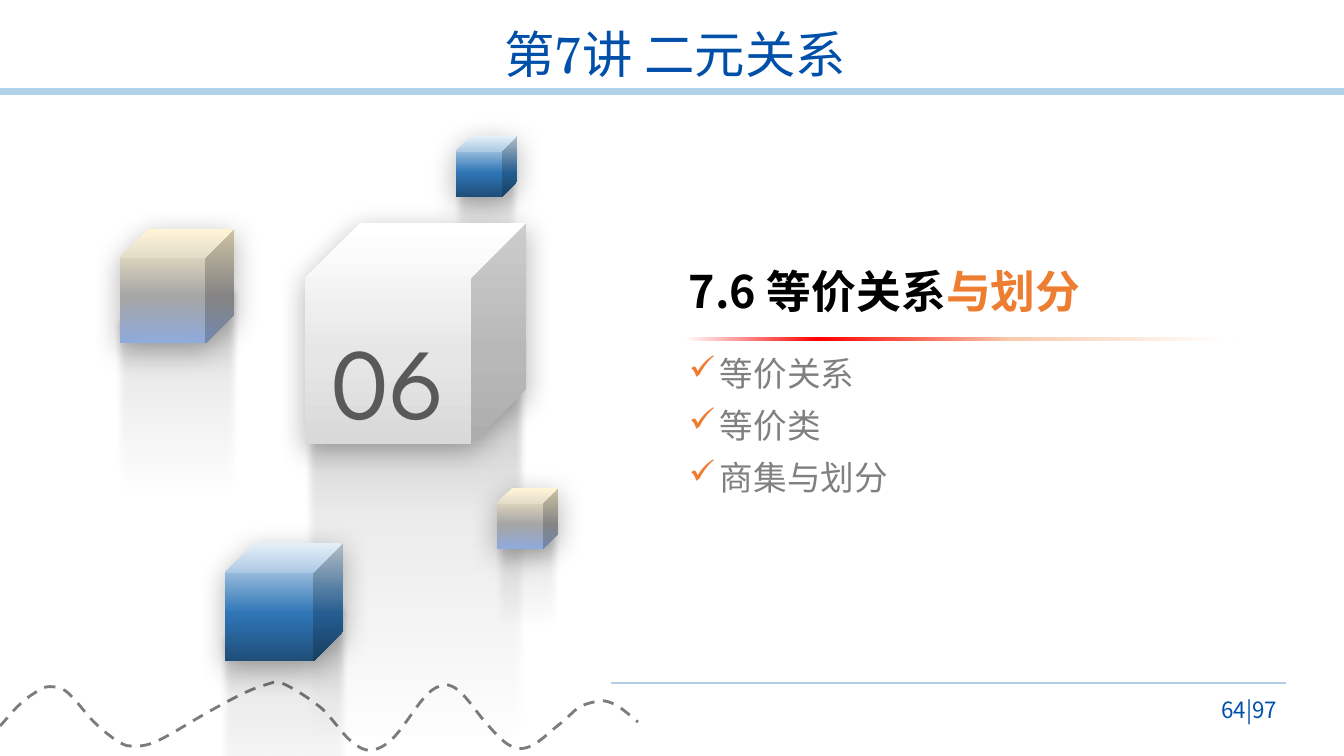
"""Build the section slide on equivalence relations and partitions."""
from lxml import etree
from pptx import Presentation, util as u
from pptx.dml.color import RGBColor
from pptx.enum import dml, shapes, text
from pptx.oxml.ns import qn

PX = 914400 / 100.8
COLORS = {"title": "0050AA", "rule": "B0D3EB", "footer_rule": "B4CDE6", "wave": "7C7C7C",
          "number": "595959", "heading": "000000", "accent": "ED7D31", "item": "808080"}
SANS, SERIF, GEOMETRIC, SYMBOL = "Noto Sans CJK SC", "TeX Gyre Schola", "League Spartan", "OpenSymbol"

TITLE = "第7讲 二元关系"
HEADING = [("7.6 等价关系", "heading"), ("与划分", "accent")]
ITEMS = [("等价关系", 565), ("等价类", 375), ("商集与划分", 375)]
PAGE = "64|97"

BLUE = [(1, "DEEBF7", 100), (60, "2E75B6", 100), (100, "1F4E79", 100)]
CREAM = [(1, "FFF2CC", 100), (60, "A5A5A5", 100), (100, "8FAADC", 100)]
WHITE = [(0, "FFFFFF", 100), (60, "E7E6E6", 100), (100, "D9D9D9", 100)]
COLUMN = [(30, "000000", 0), (50, "000000", 4), (70, "000000", 8), (100, "262626", 30)]
RED_GLOW = [(1, "FFFFFF", 100), (25, "FF0000", 100), (60, "F8CBAD", 100), (99, "FFFFFF", 100)]
CUBES = [(456, 136, 61, 1.11, BLUE, ""), (305, 223, 221, 1.01, WHITE, "06"),
         (225, 543, 118, 1.11, BLUE, ""), (497, 488, 61, 1.11, CREAM, ""),
         (120, 229, 114, 1.11, CREAM, "")]
WAVE = [(0, 726), (17, 707), (33, 694), (46, 687), (62, 689), (74, 699), (93, 721), (109, 735),
        (119, 742), (131, 746), (155, 742), (203, 715), (240, 695), (265, 685), (284, 684),
        (320, 707), (351, 741), (372, 750), (396, 735), (423, 699), (440, 686), (458, 690),
        (486, 723), (509, 745), (531, 746), (561, 723), (578, 708), (599, 701), (616, 705),
        (638, 722)]


def px(*lengths):
    return [u.Emu(round(length * PX)) for length in lengths]


def child(parent, tag, **attributes):
    return etree.SubElement(parent, qn(tag), {key: str(value) for key, value in attributes.items()})


def add_color(parent, color, alpha=100):
    element = child(parent, "a:srgbClr", val=color)
    if alpha < 100:
        child(element, "a:alpha", val=alpha * 1000)


def style_runs(paragraph, size, name, colors, bold=False):
    for run, color in zip(paragraph.runs, colors):
        run.font.size, run.font.name, run.font.bold = u.Pt(size), name, bold
        run.font.color.rgb = RGBColor.from_string(COLORS[color])
        child(run.font._element, "a:ea", typeface=SANS)


def add_gradient_shape(parent, kind, box, stops, angle):
    shape = parent.add_shape(kind, *px(*box))
    shape.fill.gradient()
    shape.fill.gradient_angle = angle
    stop_list = shape._element.spPr.find(f".//{qn('a:gsLst')}")
    for stop in list(stop_list):
        stop_list.remove(stop)
    for position, color, alpha in stops:
        add_color(child(stop_list, "a:gs", pos=position * 1000), color, alpha)
    shape.line.fill.background()
    shape.shadow.inherit = False
    return shape


def add_cube(slide, left, top, size, spread, stops, label):
    group = slide.shapes.add_group_shape().shapes
    width = size * spread
    column_box = (left + (size - width) / 2, top + size / 2, width, size * 2.72)
    column = add_gradient_shape(group, shapes.MSO_SHAPE.CUBE, column_box, COLUMN, 270)
    column.rotation = 180
    child(column._element.spPr.find(qn("a:effectLst")), "a:softEdge", rad=u.Pt(5))
    cube = add_gradient_shape(group, shapes.MSO_SHAPE.CUBE, (left, top, size, size), stops, 270)
    shadow = child(cube._element.spPr.find(qn("a:effectLst")), "a:outerShdw", blurRad=u.Pt(20),
                   dist=u.Pt(5), dir=5400000, algn="t", rotWithShape=0)
    add_color(shadow, "000000", 30)
    if label:
        cube.text_frame.text = label
        cube.text_frame.vertical_anchor = text.MSO_ANCHOR.MIDDLE
        paragraph = cube.text_frame.paragraphs[0]
        paragraph.alignment, paragraph.line_spacing = text.PP_ALIGN.CENTER, 1.3
        style_runs(paragraph, 72, GEOMETRIC, ["number"])


def add_rule(slide, left, right, y, color, width):
    rule = slide.shapes.add_connector(shapes.MSO_CONNECTOR.STRAIGHT, *px(left, y, right, y))
    rule.line.color.rgb = RGBColor.from_string(COLORS[color])
    rule.line.width = u.Pt(width)
    child(rule._element.spPr, "a:effectLst")


def curve_segments(outline):
    """Turn the straight segments of an outline into smooth cubic curves."""
    points = [(int(point.get("x")), int(point.get("y"))) for point in outline.iter(qn("a:pt"))]
    padded = [points[0], *points, points[-1]]
    for segment in outline.findall(qn("a:lnTo")):
        outline.remove(segment)
    for before, start, end, after in zip(padded, padded[1:], padded[2:], padded[3:]):
        first = [s + (e - b) / 6 for b, s, e in zip(before, start, end)]
        second = [e - (a - s) / 6 for s, e, a in zip(start, end, after)]
        curve = child(outline, "a:cubicBezTo")
        for x, y in (first, second, end):
            child(curve, "a:pt", x=round(x), y=round(y))


def add_wave(slide):
    builder = slide.shapes.build_freeform(*WAVE[0], scale=PX)
    builder.add_line_segments(WAVE[1:], close=False)
    wave = builder.convert_to_shape()
    curve_segments(wave._element.spPr.find(f".//{qn('a:path')}"))
    wave.fill.background()
    wave.line.color.rgb = RGBColor.from_string(COLORS["wave"])
    wave.line.width = u.Pt(2)
    wave.line.dash_style = dml.MSO_LINE.DASH
    wave.shadow.inherit = False


def add_text(slide, box, anchor):
    frame = slide.shapes.add_textbox(*px(*box)).text_frame
    frame.word_wrap = True
    frame.vertical_anchor = anchor
    return frame.paragraphs[0]


def add_item(slide, index, label, width):
    paragraph = add_text(slide, (679, 348 + 52 * index, width, 50), text.MSO_ANCHOR.TOP)
    paragraph.text = label
    properties = paragraph._p.get_or_add_pPr()
    indent = px(31)[0]
    properties.set("marL", str(indent))
    properties.set("indent", str(-indent))
    add_color(child(properties, "a:buClr"), COLORS["accent"])
    child(properties, "a:buFont", typeface=SYMBOL)
    child(properties, "a:buChar", char="✓")
    style_runs(paragraph, 24, SANS, ["item"])


def main():
    presentation = Presentation()
    presentation.slide_width, presentation.slide_height = px(1344, 756)
    slide = presentation.slides.add_slide(presentation.slide_layouts[5])

    title = slide.shapes.title
    title.left, title.top, title.width, title.height = px(159, 24, 1032, 66)
    title.text_frame.text = TITLE
    title.text_frame.auto_size = text.MSO_AUTO_SIZE.NONE
    title.text_frame.vertical_anchor = text.MSO_ANCHOR.MIDDLE
    paragraph = title.text_frame.paragraphs[0]
    paragraph.alignment, paragraph.line_spacing = text.PP_ALIGN.CENTER, 0.9
    style_runs(paragraph, 36, SERIF, ["title"])

    add_rule(slide, 0, 1344, 92, "rule", 5)
    add_rule(slide, 611, 1286, 683, "footer_rule", 1.75)
    add_wave(slide)
    for cube in CUBES:
        add_cube(slide, *cube)

    heading = add_text(slide, (679, 257, 555, 65), text.MSO_ANCHOR.BOTTOM)
    for part, _ in HEADING:
        heading.add_run().text = part
    style_runs(heading, 32, SANS, [color for _, color in HEADING], bold=True)
    underline = add_gradient_shape(slide.shapes, shapes.MSO_SHAPE.ROUNDED_RECTANGLE,
                                   (679, 337, 555, 4), RED_GLOW, 0)
    underline.adjustments[0] = 0.5
    for index, (label, width) in enumerate(ITEMS):
        add_item(slide, index, label, width)

    page = add_text(slide, (1181, 690, 106, 40), text.MSO_ANCHOR.MIDDLE)
    page.text = PAGE
    page.alignment = text.PP_ALIGN.RIGHT
    style_runs(page, 16, SANS, ["title"])
    presentation.save("out.pptx")


if __name__ == "__main__":
    main()
